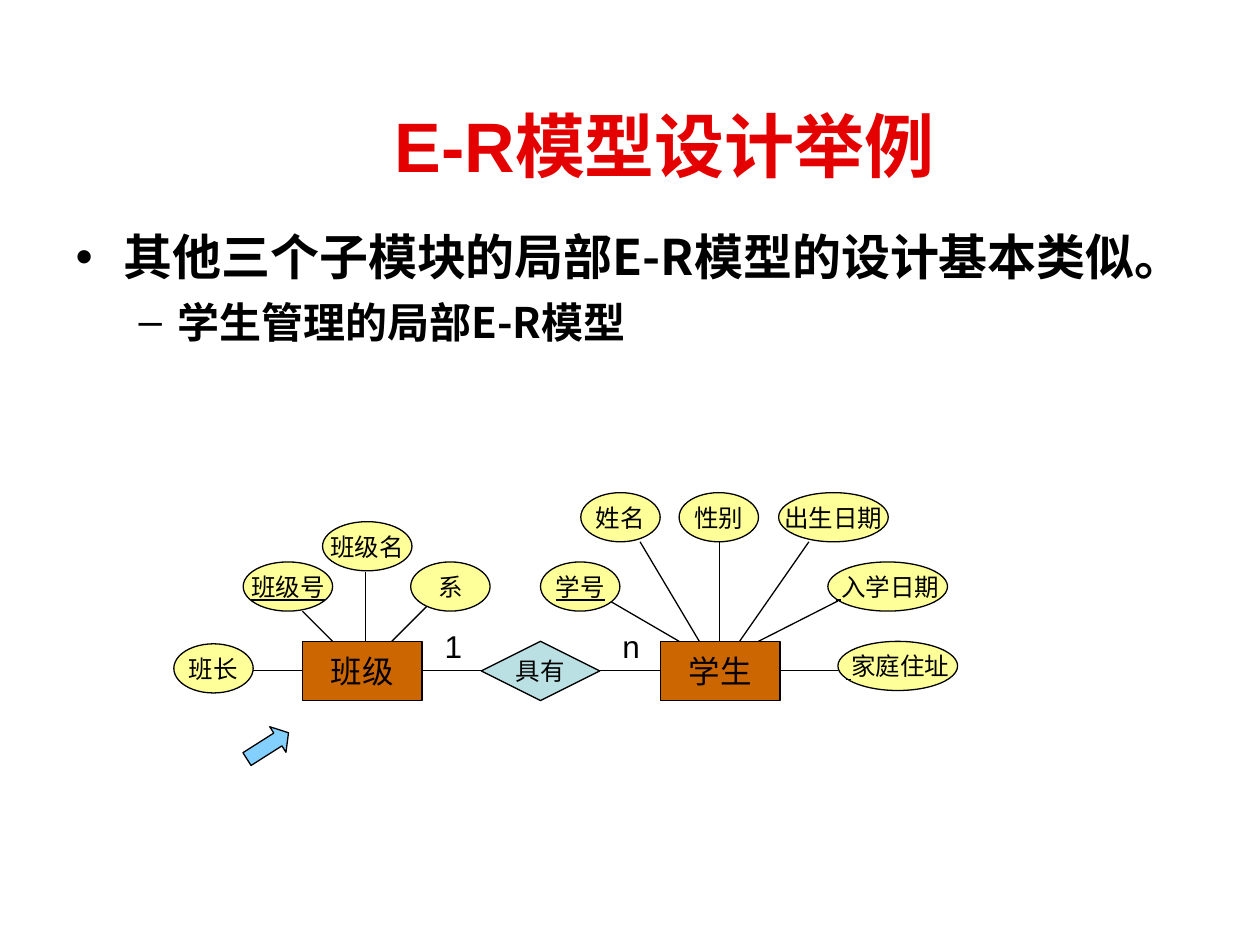
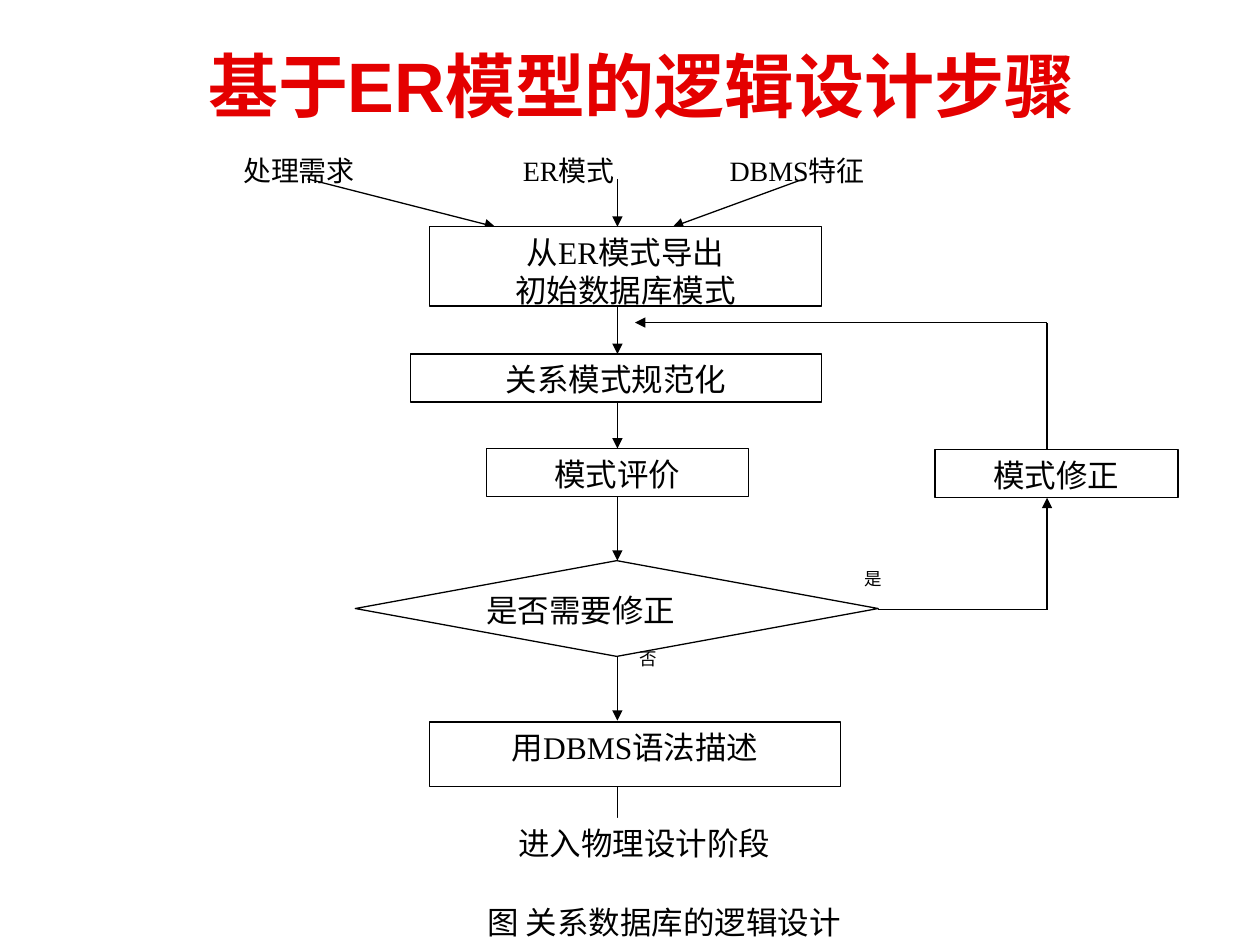
from lxml.etree import SubElement
from pptx import Presentation
from pptx.dml.color import RGBColor
from pptx.enum.shapes import MSO_CONNECTOR, MSO_SHAPE
from pptx.enum.text import MSO_ANCHOR, MSO_AUTO_SIZE, PP_ALIGN
from pptx.oxml.ns import qn
from pptx.util import Inches, Pt

# Shared look
RED = RGBColor(0xE4, 0x00, 0x00)
BLACK = RGBColor(0x00, 0x00, 0x00)
WHITE = RGBColor(0xFF, 0xFF, 0xFF)
ORANGE = RGBColor(0xCC, 0x66, 0x00)
TEAL = RGBColor(0xBB, 0xE0, 0xE3)
YELLOW = RGBColor(0xFF, 0xFF, 0x99)
BLUE = RGBColor(0x83, 0xD0, 0xFF)
SANS, SERIF, HAN = "Arial", "Times New Roman", "Noto Sans CJK SC"
LEFT, CENTER = PP_ALIGN.LEFT, PP_ALIGN.CENTER
TOP, MIDDLE = MSO_ANCHOR.TOP, MSO_ANCHOR.MIDDLE

# Slide 1: E-R model; text between underscores is underlined
ER_TITLE = "E-R模型设计举例"
POINTS = [  # text, size, left indent, hanging indent, space before
    ("其他三个子模块的局部E-R模型的设计基本类似。", 28, 0.38, 0.38, 7),
    ("学生管理的局部E-R模型", 24, 0.81, 0.31, 6),
]
ENTITIES = [("班级", 2.4), ("学生", 5.24)]
ROW, ENTITY_W, ENTITY_H = 5.09, 0.95, 0.47
FIELDS = [  # text, left, top, width
    ("_学号_", 4.29, 4.46, 0.63),
    ("姓名", 4.61, 3.91, 0.63),
    ("性别", 5.39, 3.91, 0.63),
    ("出生日期", 6.18, 3.91, 0.87),
    ("_ _入学日期", 6.57, 4.46, 0.95),
    ("_ _家庭住址", 6.65, 5.09, 0.95),
    ("班长", 1.38, 5.11, 0.63),
    ("_班级号_", 1.93, 4.46, 0.71),
    ("班级名", 2.56, 4.14, 0.71),
    ("系", 3.26, 4.46, 0.63),
]
FIELD_H = 0.39
SPOKES = [  # field end x, y; x on the entity's upper edge
    (4.84, 4.77, 5.39), (5.08, 4.3, 5.55), (5.71, 4.3, 5.71),
    (6.42, 4.3, 5.87), (6.65, 4.77, 6.02),
    (2.4, 4.85, 2.64), (2.9, 4.54, 2.9), (3.43, 4.77, 3.11),
]
AXIS = 5.32
LINKS = [(2.01, 2.4), (3.35, 3.82), (4.76, 5.24), (6.18, 6.65)]
COUNTS = [("1", 3.43), ("n", 4.84)]

# Slide 2: steps of logical design
STEP_TITLE = "基于ER模型的逻辑设计步骤"
INPUTS = [("处理需求", 1.93, 1.48), ("ER模式", 4.15, 1.48), ("DBMS特征", 5.79, 1.78)]
STEPS = [
    ("从ER模式导出\n初始数据库模式", (3.41, 1.8, 3.11, 0.63)),
    ("关系模式规范化", (3.26, 2.81, 3.26, 0.38)),
    ("模式评价", (3.86, 3.56, 2.08, 0.38)),
    ("模式修正", (7.42, 3.57, 1.93, 0.38)),
    ("用DBMS语法描述", (3.41, 5.73, 3.26, 0.51)),
]
CHOICE = ("是否需要修正", (2.82, 4.45, 4.15, 0.76))
NEXT = ("进入物理设计阶段", (3.41, 6.49, 3.41, 0.38))
CAPTION = ("图 关系数据库的逻辑设计", (2.97, 7.12, 4.6, 0.38))
ANSWERS = [("是", 6.76, 4.46), ("否", 4.98, 5.09)]
SPINE, LOOP = 4.9, 8.31
DROPS = [(1.42, 1.8), (2.43, 2.81), (3.18, 3.56), (3.94, 4.45), (5.21, 5.72), (6.11, 6.61)]
FLOWS = [  # from x, y to x, y; arrowhead
    (2.44, 1.42, 3.93, 1.8, True),
    (6.38, 1.42, 5.34, 1.8, True),
    (6.97, 4.84, LOOP, 4.84, False),
    (LOOP, 4.84, LOOP, 3.95, True),
    (LOOP, 3.57, LOOP, 2.56, False),
    (LOOP, 2.56, 5.04, 2.56, True),
]


def style(run, size, font, color=BLACK, bold=False):
    run.font.size, run.font.name, run.font.bold = Pt(size), font, bold
    run.font.color.rgb = color
    SubElement(run.font._element, qn("a:ea")).set("typeface", HAN)


def write(shape, text, size=18, font=SANS, color=BLACK, bold=False,
          align=CENTER, anchor=MIDDLE, wrap=True, side=0.1):
    frame = shape.text_frame
    frame.auto_size = MSO_AUTO_SIZE.NONE
    frame.word_wrap, frame.vertical_anchor = wrap, anchor
    frame.margin_left = frame.margin_right = Inches(side)
    frame.margin_top = frame.margin_bottom = Inches(0.05)
    for i, line in enumerate(text.split("\n")):
        para = frame.add_paragraph() if i else frame.paragraphs[0]
        para.alignment = align
        for j, part in enumerate(line.split("_")):
            if part:
                run = para.add_run()
                run.text = part
                style(run, size, font, color, bold)
                if j % 2:
                    run.font.underline = True


def place(shape, at):
    shape.left, shape.top, shape.width, shape.height = map(Inches, at)


def start(deck, layout, title, at):
    slide = deck.slides.add_slide(deck.slide_layouts[layout])
    place(slide.shapes.title, at)
    write(slide.shapes.title, title, size=40, color=RED, bold=True)
    return slide


def draw(slide, kind, at, fill, text="", edge=True, **fmt):
    shape = slide.shapes.add_shape(kind, *map(Inches, at))
    shape.shadow.inherit = False
    shape.fill.solid()
    shape.fill.fore_color.rgb = fill
    if edge:
        shape.line.color.rgb, shape.line.width = BLACK, Pt(0.75)
    else:
        shape.line.fill.background()
    if text:
        write(shape, text, **fmt)
    return shape


def label(slide, text, at, **fmt):
    write(slide.shapes.add_textbox(*map(Inches, at)), text, anchor=TOP, **fmt)


def join(slide, x1, y1, x2, y2, arrow=False):
    line = slide.shapes.add_connector(MSO_CONNECTOR.STRAIGHT, *map(Inches, (x1, y1, x2, y2)))
    line.line.color.rgb, line.line.width = BLACK, Pt(0.75)
    if arrow:
        SubElement(line.line._get_or_add_ln(), qn("a:tailEnd")).set("type", "triangle")
    SubElement(line._element.spPr, qn("a:effectLst"))


def list_points(shape):
    place(shape, (0.5, 1.75, 9.15, 1.21))
    frame = shape.text_frame
    frame.auto_size = MSO_AUTO_SIZE.NONE
    for i, (text, size, left, hang, gap) in enumerate(POINTS):
        para = frame.add_paragraph() if i else frame.paragraphs[0]
        para.level, para.space_before = i, Pt(gap)
        props = para._p.get_or_add_pPr()
        props.set("marL", str(Inches(left)))
        props.set("indent", str(-Inches(hang)))
        run = para.add_run()
        run.text = text
        style(run, size, HAN, bold=True)


def build_model(deck):
    slide = start(deck, 1, ER_TITLE, (1.4, 0.75, 7.75, 0.8))
    list_points(slide.placeholders[1])
    # Lines
    for x, y, foot in SPOKES:
        join(slide, x, y, foot, ROW)
    for x1, x2 in LINKS:
        join(slide, x1, AXIS, x2, AXIS)
    # Entities, relation and fields
    for text, x in ENTITIES:
        draw(slide, MSO_SHAPE.RECTANGLE, (x, ROW, ENTITY_W, ENTITY_H), ORANGE, text, wrap=False)
    draw(slide, MSO_SHAPE.DIAMOND, (3.82, ROW, 0.94, ENTITY_H), TEAL, "具有", size=14, wrap=False)
    for text, x, y, w in FIELDS:
        draw(slide, MSO_SHAPE.OVAL, (x, y, w, FIELD_H), YELLOW, text, size=14, wrap=False)
    for text, x in COUNTS:
        label(slide, text, (x, 4.93, 0.31, 0.4), align=LEFT)
    # Pointer
    hint = draw(slide, MSO_SHAPE.RIGHT_ARROW, (1.93, 5.8, 0.39, 0.24), BLUE)
    hint.rotation, hint.adjustments[1] = 327.6, 0.415


def build_steps(deck):
    slide = start(deck, 5, STEP_TITLE, (0.83, 0.21, 8.52, 0.92))
    # Arrows
    for y1, y2 in DROPS:
        join(slide, SPINE, y1, SPINE, y2, True)
    for flow in FLOWS:
        join(slide, *flow)
    # Boxes
    flat = dict(font=SERIF, anchor=TOP, side=0)
    for text, at in STEPS:
        draw(slide, MSO_SHAPE.RECTANGLE, at, WHITE, text, **flat)
    text, at = CHOICE
    draw(slide, MSO_SHAPE.FLOWCHART_DECISION, at, WHITE, text, align=LEFT, **flat)
    text, at = NEXT
    draw(slide, MSO_SHAPE.RECTANGLE, at, WHITE, text, edge=False, **{**flat, "font": HAN})
    # Labels
    for text, x, w in INPUTS:
        label(slide, text, (x, 1.17, w, 0.38), size=16, font=SERIF, align=LEFT, side=0)
    for text, x, y in ANSWERS:
        label(slide, text, (x, y, 0.76, 0.38), size=10, font=SERIF, align=LEFT)
    label(slide, *CAPTION, font=HAN, side=0)


def main():
    deck = Presentation()
    deck.slide_width, deck.slide_height = Inches(10), Inches(7.5)
    build_model(deck)
    build_steps(deck)
    deck.save("out.pptx")


if __name__ == "__main__":
    main()
